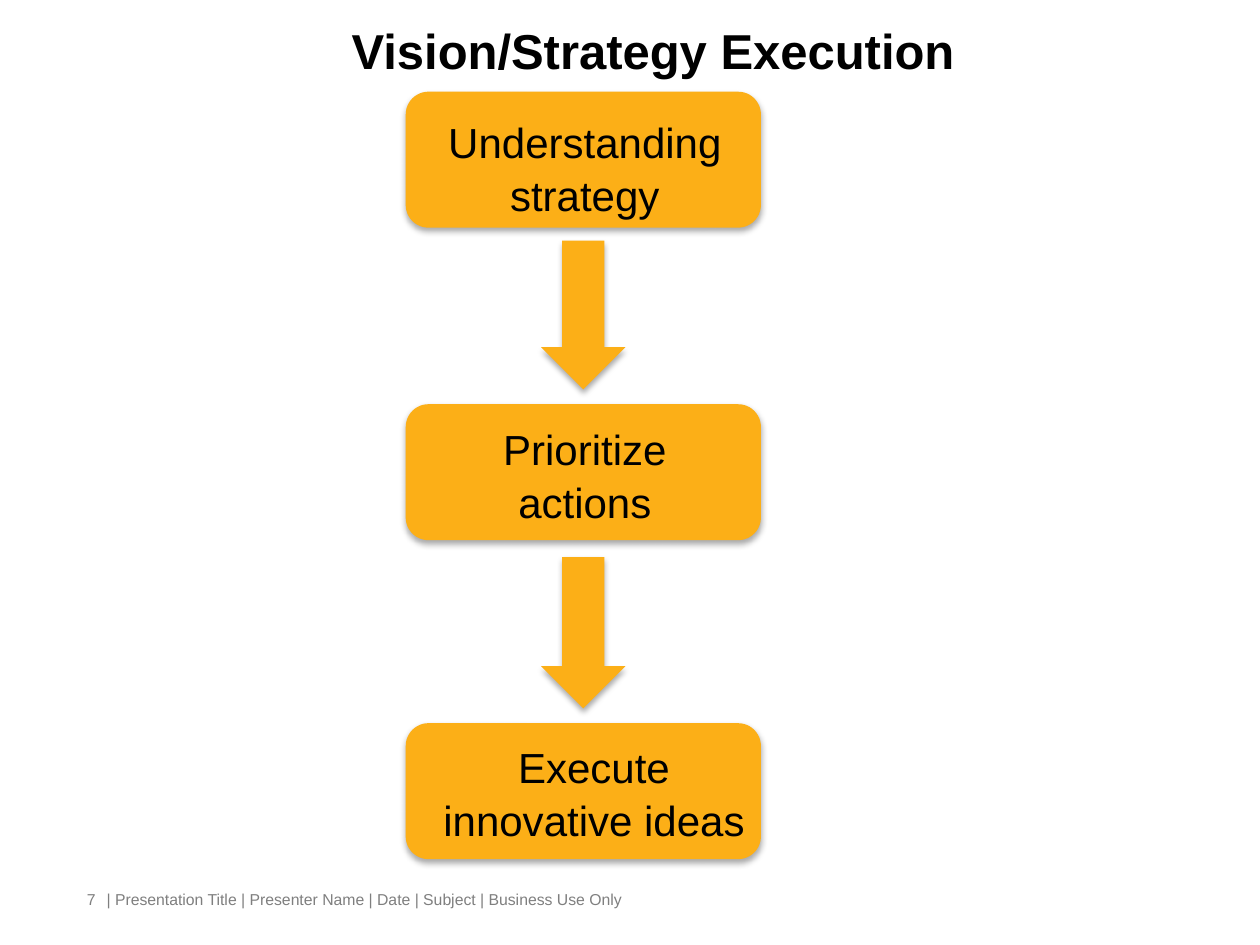
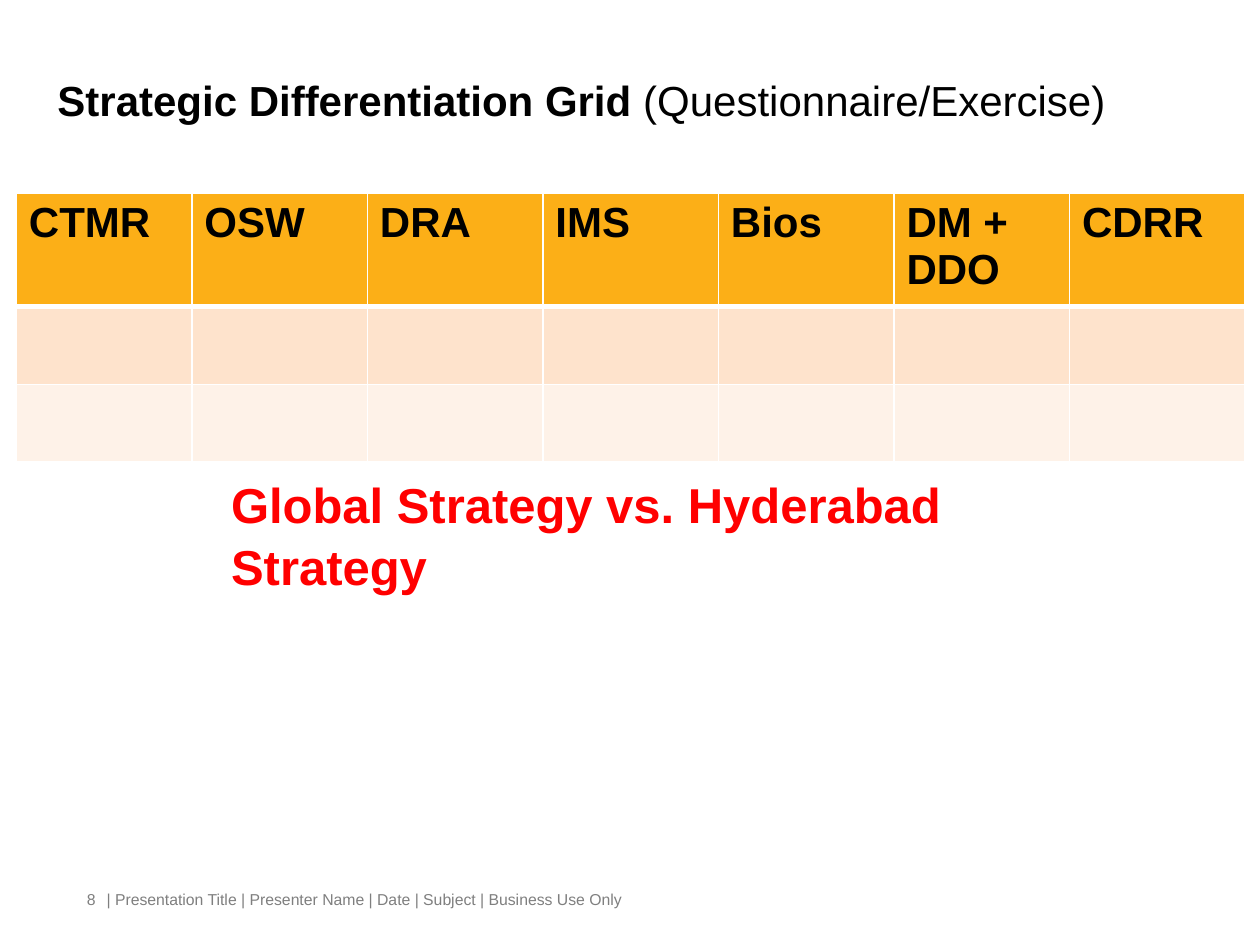
from lxml import etree
from pptx import Presentation
from pptx.dml.color import RGBColor
from pptx.enum.shapes import MSO_SHAPE
from pptx.enum.text import MSO_ANCHOR, PP_ALIGN
from pptx.oxml.ns import qn
from pptx.util import Cm, Pt

ROUND_BOX, DOWN_ARROW = MSO_SHAPE.ROUNDED_RECTANGLE, MSO_SHAPE.DOWN_ARROW
LEFT, CENTER = PP_ALIGN.LEFT, PP_ALIGN.CENTER
TOP, MIDDLE = MSO_ANCHOR.TOP, MSO_ANCHOR.MIDDLE

# Content
FOOTER = "| Presentation Title | Presenter Name | Date | Subject | Business Use Only"
FIRST_PAGE = 7
EXECUTION_TITLE = [("Vision/Strategy Execution", True)]
# step, box top, label left / top / width
STEPS = [
    ("Understanding strategy", 1.85, (8.74, 2.18, 6.1)),
    ("Prioritize actions", 8.15, (8.74, 8.36, 6.1)),
    ("Execute innovative ideas", 14.58, (8.18, 14.78, 7.59)),
]
ARROWS = [(4.85, 3.0), (11.23, 3.05)]  # top, height
GRID_TITLE = [("Strategic Differentiation Grid ", True), ("(Questionnaire/Exercise)", False)]
GRID_HEADINGS = ["CTMR", "OSW", "DRA", "IMS", "Bios", "DM + DDO", "CDRR"]
GRID_MESSAGE = [("Global Strategy vs. Hyderabad Strategy", True)]

# Shared look
FONT = "Arial"
COLORS = {
    "amber": "FCAF17", "peach": "FEE3CC", "cream": "FEF2E8", "white": "FFFFFF",
    "black": "000000", "gray": "7F7F7F", "red": "FF0000",
}
SHADOW = {"blurRad": Pt(3.5), "dist": Pt(2.2), "dir": 90 * 60000, "rotWithShape": 0}
SHADOW_ALPHA = 32
STEP_LEFT, STEP_WIDTH, STEP_HEIGHT = 8.18, 7.16, 2.74
ARROW_WIDTH = 1.7
GRID_LEFT, GRID_TOP, GRID_WIDTH = 0.33, 3.89, 24.77
GRID_ROWS = [(1.93, "amber"), (1.57, "peach"), (1.57, "cream")]  # height, fill
THIN, THICK = 1, 3


def rgb(name):
    return RGBColor.from_string(COLORS[name])


def write(frame, runs, size, color="black", align=LEFT, spacing=None):
    paragraph = frame.paragraphs[0]
    paragraph.alignment = align
    paragraph.line_spacing = spacing
    for words, bold in runs:
        run = paragraph.add_run()
        run.text = words
        run.font.color.rgb = rgb(color)
        for key, value in {"name": FONT, "size": Pt(size), "bold": bold}.items():
            setattr(run.font, key, value)


def add_text(slide, place, runs, size, color="black", align=LEFT, anchor=TOP, spacing=1.05):
    frame = slide.shapes.add_textbox(*map(Cm, place)).text_frame
    frame.word_wrap = True
    frame.vertical_anchor = anchor
    write(frame, runs, size, color, align, spacing)


def add_amber_shape(slide, preset, *place):
    shape = slide.shapes.add_shape(preset, *map(Cm, place))
    shape.fill.solid()
    shape.fill.fore_color.rgb = rgb("amber")
    shape.line.fill.background()
    shape.shadow.inherit = False
    effects = shape._element.spPr.find(qn("a:effectLst"))
    outer = etree.SubElement(effects, qn("a:outerShdw"),
                             {key: str(int(value)) for key, value in SHADOW.items()})
    shade = etree.SubElement(outer, qn("a:srgbClr"), val=COLORS["black"])
    etree.SubElement(shade, qn("a:alpha"), val=str(SHADOW_ALPHA * 1000))


def set_borders(cell, widths):
    properties = cell._tc.get_or_add_tcPr()
    for index, (side, width) in enumerate(widths.items()):
        line = etree.Element(qn(f"a:ln{side}"), w=str(int(Pt(width))))
        fill = etree.SubElement(line, qn("a:solidFill"))
        etree.SubElement(fill, qn("a:srgbClr"), val=COLORS["white"])
        properties.insert(index, line)


def add_slide(deck):
    slide = deck.slides.add_slide(deck.slide_layouts[6])
    page = FIRST_PAGE + len(deck.slides) - 1
    for words, left, width in ((FOOTER, 1.9, 17.98), (str(page), 1.5, 1.12)):
        add_text(slide, (left, 17.78, width, 0.69), [(words, False)], 9, "gray",
                 anchor=MIDDLE, spacing=1.0)
    return slide


def build_execution(deck):
    slide = add_slide(deck)
    # Chain of steps
    for _, top, _ in STEPS:
        add_amber_shape(slide, ROUND_BOX, STEP_LEFT, top, STEP_WIDTH, STEP_HEIGHT)
    arrow_left = STEP_LEFT + (STEP_WIDTH - ARROW_WIDTH) / 2
    for top, height in ARROWS:
        add_amber_shape(slide, DOWN_ARROW, arrow_left, top, ARROW_WIDTH, height)
    # Step labels and title
    for step, _, label_place in STEPS:
        add_text(slide, (*label_place, 2.31), [(step, False)], 24, align=CENTER)
    add_text(slide, (6.84, 0.23, 18, 1.45), EXECUTION_TITLE, 28)


def build_grid(deck):
    slide = add_slide(deck)
    add_text(slide, (0.91, 1.32, 24.18, 1.27), GRID_TITLE, 24)
    # Grid
    height = sum(row_height for row_height, _ in GRID_ROWS)
    grid = slide.shapes.add_table(
        len(GRID_ROWS), len(GRID_HEADINGS),
        *map(Cm, (GRID_LEFT, GRID_TOP, GRID_WIDTH, height))).table
    grid.first_row = grid.horz_banding = False
    for r, (row_height, color) in enumerate(GRID_ROWS):
        grid.rows[r].height = Cm(row_height)
        for c, heading in enumerate(GRID_HEADINGS):
            cell = grid.cell(r, c)
            cell.fill.solid()
            cell.fill.fore_color.rgb = rgb(color)
            set_borders(cell, {"L": THIN, "R": THIN,
                               "T": THICK if r == 1 else THIN,
                               "B": THICK if r == 0 else THIN})
            if r == 0:
                write(cell.text_frame, [(heading, True)], 24)
    # Message below the grid
    add_text(slide, (4.41, 9.39, 18.85, 1.7), GRID_MESSAGE, 28, "red")


def main():
    deck = Presentation()
    deck.slide_width, deck.slide_height = Cm(25.4), Cm(19.05)
    build_execution(deck)
    build_grid(deck)
    deck.save("out.pptx")


if __name__ == "__main__":
    main()
